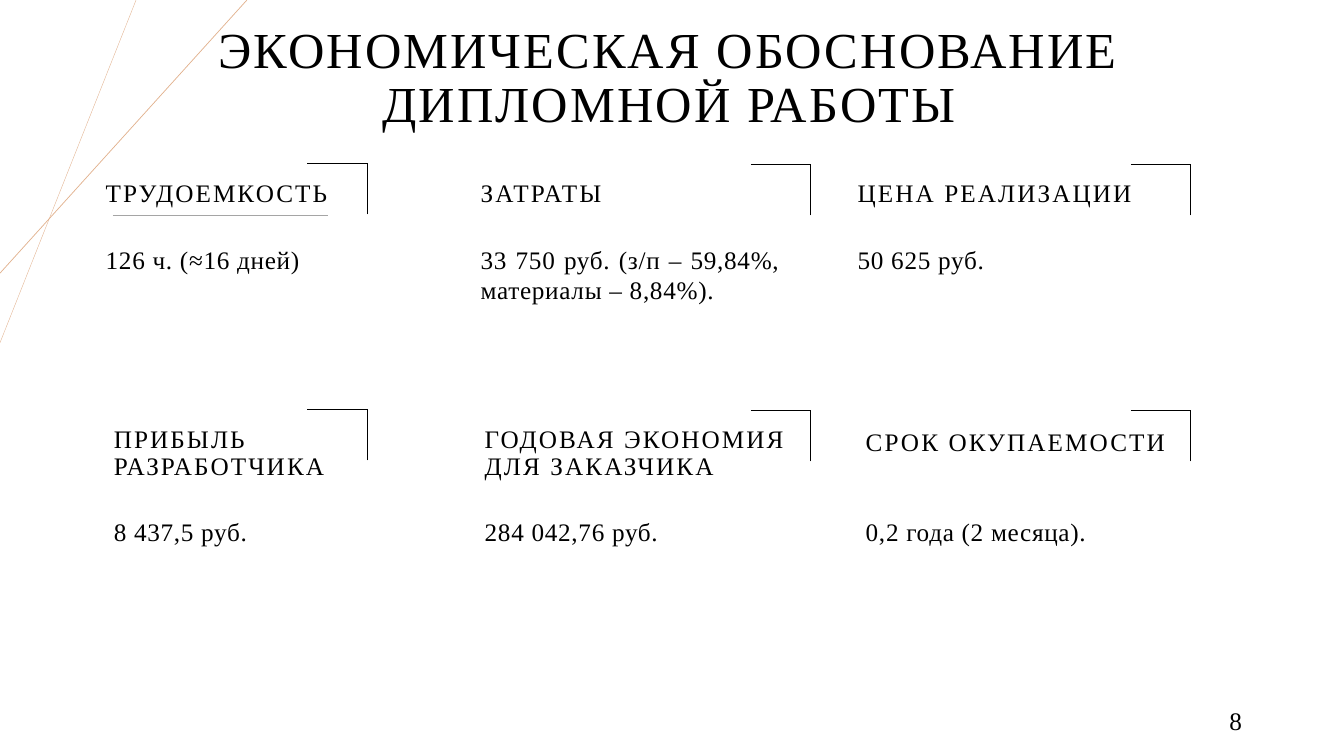
from lxml.etree import SubElement
from pptx import Presentation
from pptx.dml.color import RGBColor
from pptx.enum.shapes import MSO_CONNECTOR
from pptx.enum.text import MSO_ANCHOR, MSO_AUTO_SIZE, PP_ALIGN
from pptx.oxml.ns import qn
from pptx.util import Inches, Pt

BLACK = RGBColor(0x00, 0x00, 0x00)
GRAY = RGBColor(0xA5, 0xA5, 0xA5)
PEACH = RGBColor(0xE2, 0xB1, 0x8D)
COLUMNS, ROWS = 40, 30


class Deck:
    font = "Times New Roman"

    def __init__(self):
        self.prs = Presentation()
        self.prs.slide_width = Inches(13.33)
        self.prs.slide_height = Inches(7.5)
        self.s = self.prs.slides.add_slide(self.prs.slide_layouts[5])

    def x(self, columns):
        return round(self.prs.slide_width * columns / COLUMNS)

    def y(self, rows):
        return round(self.prs.slide_height * rows / ROWS)

    def set_text(self, sp, text, size, align, anchor, tracking=0, leading=1, before=0):
        tf = sp.text_frame
        tf.word_wrap = True
        tf.auto_size = MSO_AUTO_SIZE.NONE
        tf.vertical_anchor = anchor
        p = tf.paragraphs[0]
        p.text = text
        p.alignment = align
        p.line_spacing = leading
        p.space_before = Pt(before)
        p.font.name = self.font
        p.font.size = Pt(size)
        p.font.color.rgb = BLACK
        p._p.pPr.defRPr.set("spc", str(round(tracking * 100)))

    def title(self, text, left, top, width, height):
        sp = self.s.shapes.title
        sp.left, sp.top = self.x(left), self.y(top)
        sp.width, sp.height = self.x(width), self.y(height)
        self.set_text(sp, text, 36, PP_ALIGN.CENTER, MSO_ANCHOR.MIDDLE, 1.5, 0.9)

    def box(self, left, top, width, height):
        return self.s.shapes.add_textbox(
            self.x(left), self.y(top), self.x(width), self.y(height))

    def heading(self, text, left, top, width, height):
        self.set_text(self.box(left, top, width, height), text, 18,
                      PP_ALIGN.LEFT, MSO_ANCHOR.BOTTOM, 1.5, 0.9, 10)

    def value(self, text, left, top, width, height):
        self.set_text(self.box(left, top, width, height), text, 18,
                      PP_ALIGN.JUSTIFY, MSO_ANCHOR.TOP, 0.5, 1, 10)

    def number(self, text, left, top, width, height):
        self.set_text(self.box(left, top, width, height), text, 18,
                      PP_ALIGN.RIGHT, MSO_ANCHOR.MIDDLE)

    def line(self, x1, y1, x2, y2, color, weight=0.5, shapes=None):
        shapes = shapes or self.s.shapes
        c = shapes.add_connector(MSO_CONNECTOR.STRAIGHT, self.x(x1), self.y(y1),
                                 self.x(x2), self.y(y2))
        c.line.color.rgb = color
        c.line.width = Pt(weight)
        SubElement(c._element.spPr, qn("a:effectLst"))

    def bracket(self, right, top):
        shapes = self.s.shapes.add_group_shape().shapes
        self.line(right - 1.77, top, right, top, BLACK, shapes=shapes)
        self.line(right, top + 2.03, right, top, BLACK, shapes=shapes)


def main():
    deck = Deck()
    deck.line(4.05, 0, 0, 13.6, PEACH, 0.25)
    deck.line(7.35, 0, 0, 10.84, PEACH)
    deck.title("ЭКОНОМИЧЕСКАЯ ОБОСНОВАНИЕ ДИПЛОМНОЙ РАБОТЫ", 6.09, 0.24, 27.64, 5.8)

    heading_widths = (9.03, 10.95, 10.89)
    bracket_rights = (10.92, 24.12, 35.43)
    bracket_drops = (0, 0.04, 0.04)
    bands = (
        (6.48, 6.48, 9.48, (2.85, 14.01, 25.23), (1.96, 1.96, 1.96), (
            ("ТРУДОЕМКОСТЬ", "126 ч. (≈16 дней)"),
            ("ЗАТРАТЫ", "33 750 руб. (з/п – 59,84%, материалы – 8,84%)."),
            ("ЦЕНА РЕАЛИЗАЦИИ", "50 625 руб."))),
        (16.24, 16.6, 20.28, (3.09, 14.13, 25.47), (2.68, 2.68, 1.72), (
            ("ПРИБЫЛЬ РАЗРАБОТЧИКА", "8 437,5 руб."),
            ("ГОДОВАЯ ЭКОНОМИЯ ДЛЯ ЗАКАЗЧИКА", "284 042,76 руб."),
            ("СРОК ОКУПАЕМОСТИ", "0,2 года (2 месяца)."))),
    )
    for bracket_top, heading_top, value_top, lefts, heights, cards in bands:
        for left, height, width, right, drop, (heading, value) in zip(
                lefts, heights, heading_widths, bracket_rights, bracket_drops, cards):
            deck.heading(heading, left, heading_top, width, height)
            deck.value(value, left, value_top, 9.5, 3.5)
            deck.bracket(right, bracket_top + drop)

    deck.line(3.36, 8.56, 9.75, 8.56, GRAY)
    deck.number("8", 28.26, 27.8, 9, 1.6)
    deck.prs.save("out.pptx")


if __name__ == "__main__":
    main()
